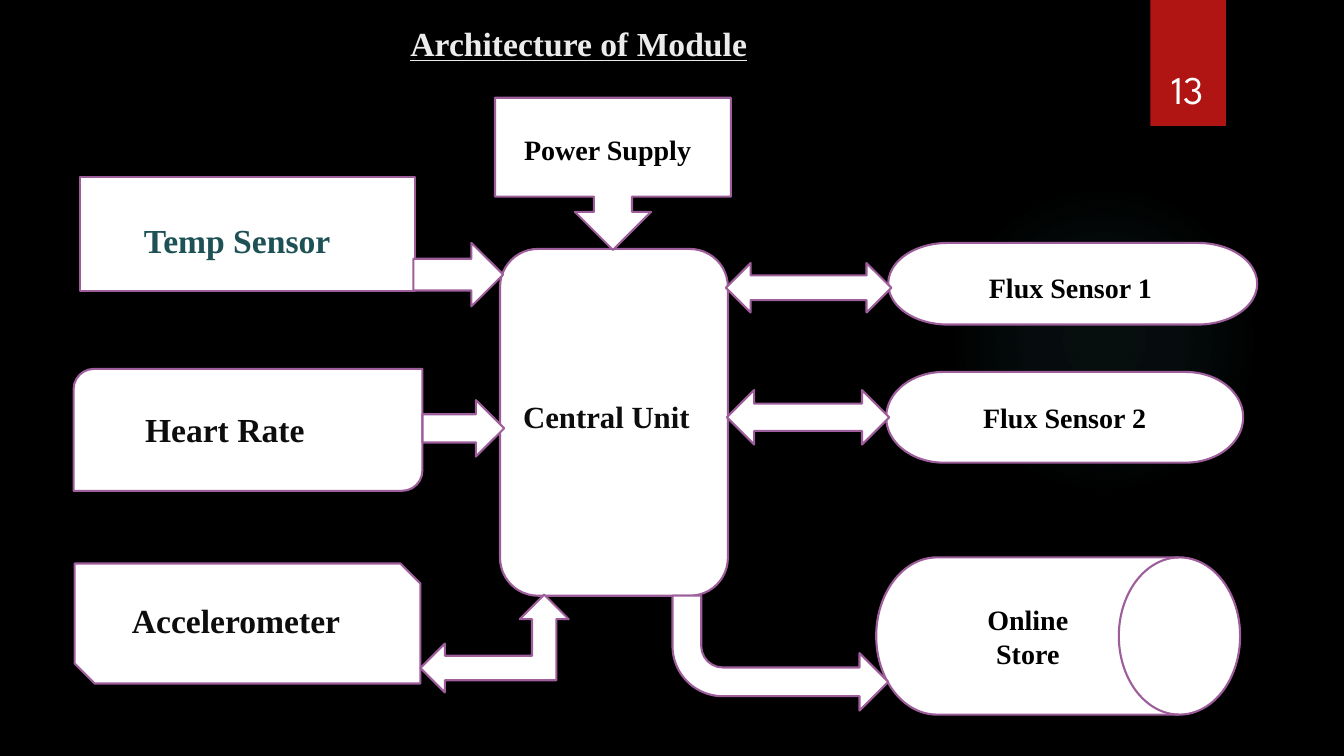
from typing import NamedTuple

from lxml import etree
from pptx import Presentation
from pptx import util as u
from pptx.dml.color import RGBColor
from pptx.enum import shapes, text

PX = 9144  # EMU per px, 100 px to the inch
BLACK = RGBColor(0x00, 0x00, 0x00)
WHITE = RGBColor(0xFF, 0xFF, 0xFF)
PALE = RGBColor(0xEB, 0xEB, 0xEB)
INK = RGBColor(0x0D, 0x0D, 0x0D)
TEAL = RGBColor(0x1E, 0x51, 0x55)
RED = RGBColor(0xB0, 0x15, 0x13)
PLUM = RGBColor(0x9E, 0x5E, 0x9B)
SERIF = "Times New Roman"
NS = "http://schemas.openxmlformats.org/drawingml/2006/main"
GLOW = [(0, 7), (36, 6), (69, 0)]  # position and opacity, percent

Kind = shapes.MSO_SHAPE
Align = text.PP_ALIGN
Anchor = text.MSO_ANCHOR


class Box(NamedTuple):
    x: int
    y: int
    w: int
    h: int

    def emu(self) -> list[int]:
        return [v * PX for v in self]


class Node(NamedTuple):
    kind: Kind
    box: Box
    words: str = ""
    inset: int = 10
    flip: bool = False


class Label(NamedTuple):
    words: str
    box: Box
    size: int = 24
    color: RGBColor = INK


# Blocks and arrows, back to front
NODES = [
    Node(Kind.ROUNDED_RECTANGLE, Box(496, 247, 226, 344)),
    Node(Kind.RECTANGLE, Box(79, 176, 333, 113)),
    Node(Kind.ROUND_2_DIAG_RECTANGLE, Box(73, 366, 346, 121)),
    Node(Kind.SNIP_2_DIAG_RECTANGLE, Box(74, 559, 343, 119)),
    Node(Kind.DOWN_ARROW_CALLOUT, Box(491, 97, 234, 151)),
    Node(Kind.FLOWCHART_TERMINATOR, Box(881, 241, 366, 81)),
    Node(Kind.FLOWCHART_TERMINATOR, Box(879, 369, 354, 90), "Flux Sensor 2"),
    Node(Kind.RIGHT_ARROW, Box(410, 241, 89, 63)),
    Node(Kind.RIGHT_ARROW, Box(419, 397, 81, 56)),
    Node(Kind.LEFT_UP_ARROW, Box(417, 590, 147, 97)),
    Node(Kind.LEFT_RIGHT_ARROW, Box(720, 261, 164, 49)),
    Node(Kind.LEFT_RIGHT_ARROW, Box(721, 387, 161, 54)),
    Node(Kind.FLOWCHART_DIRECT_ACCESS_STORAGE, Box(869, 553, 361, 156),
         "Online Store", inset=30),
    Node(Kind.BENT_ARROW, Box(667, 591, 214, 114), flip=True),
]

LABELS = [
    Label("Temp Sensor", Box(133, 213, 210, 50), color=TEAL),
    Label("Heart Rate", Box(134, 401, 316, 50)),
    Label("Accelerometer", Box(121, 590, 264, 50)),
    Label("Central Unit", Box(509, 390, 196, 47), 22),
    Label("Power Supply", Box(510, 127, 193, 44), 20, BLACK),
    Label("Flux Sensor 1", Box(971, 263, 253, 44), 20, BLACK),
]


def write(frame, words: str, *, size: int = 20, color: RGBColor = BLACK,
          font: str = SERIF, bold: bool = True, line: bool = False,
          align=Align.LEFT, anchor=Anchor.TOP, inset: int = 10) -> None:
    frame.word_wrap = True
    frame.vertical_anchor = anchor
    frame.margin_left = frame.margin_right = inset * PX
    para = frame.paragraphs[0]
    para.alignment = align
    run = para.add_run()
    run.text = words
    face = run.font
    face.name, face.size, face.bold = font, u.Pt(size), bold
    face.underline = line
    face.color.rgb = color


def draw(slide, kind: Kind, box: Box, fill: RGBColor, edge=None):
    shape = slide.shapes.add_shape(kind, *box.emu())
    shape.shadow.inherit = False
    shape.fill.solid()
    shape.fill.fore_color.rgb = fill
    if edge is None:
        shape.line.fill.background()
    else:
        shape.line.color.rgb = edge
        shape.line.width = u.Pt(1.5)
    return shape


def glow(shape) -> None:
    """Swap the solid fill for a fading radial one."""
    stops = "".join(
        f'<a:gs pos="{pos * 1000}"><a:srgbClr val="50B9C1">'
        f'<a:alpha val="{alpha * 1000}"/></a:srgbClr></a:gs>'
        for pos, alpha in GLOW)
    grad = etree.fromstring(
        f'<a:gradFill xmlns:a="{NS}"><a:gsLst>{stops}</a:gsLst>'
        '<a:path path="circle"><a:fillToRect l="50000" t="50000" '
        'r="50000" b="50000"/></a:path></a:gradFill>')
    props = shape.element.spPr
    props.replace(props.find(f"{{{NS}}}solidFill"), grad)


def main() -> None:
    deck = Presentation()
    deck.slide_width, deck.slide_height = 1333 * PX, 750 * PX
    slide = deck.slides.add_slide(deck.slide_layouts[6])
    slide.background.fill.solid()
    slide.background.fill.fore_color.rgb = BLACK

    # Backdrop glow and page tab
    glow(draw(slide, Kind.OVAL, Box(941, 183, 308, 308), BLACK))
    draw(slide, Kind.RECTANGLE, Box(1141, 0, 75, 125), RED)

    # Title and page number
    title = slide.shapes.add_textbox(*Box(55, 18, 1038, 92).emu())
    write(title.text_frame, "Architecture of Module", size=24, color=PALE,
          line=True, align=Align.CENTER)
    page = slide.shapes.add_textbox(*Box(1132, 32, 92, 84).emu())
    write(page.text_frame, "13", size=28, color=WHITE, font="League Spartan",
          bold=False, align=Align.CENTER, anchor=Anchor.BOTTOM)

    # Diagram
    for node in NODES:
        shape = draw(slide, node.kind, node.box, WHITE, PLUM)
        if node.flip:
            shape.element.spPr.xfrm.set("flipV", "1")
        if node.words:
            write(shape.text_frame, node.words, align=Align.CENTER,
                  anchor=Anchor.MIDDLE, inset=node.inset)

    # Labels over the blocks
    for label in LABELS:
        area = slide.shapes.add_textbox(*label.box.emu())
        write(area.text_frame, label.words, size=label.size,
              color=label.color)

    deck.save("out.pptx")


if __name__ == "__main__":
    main()
